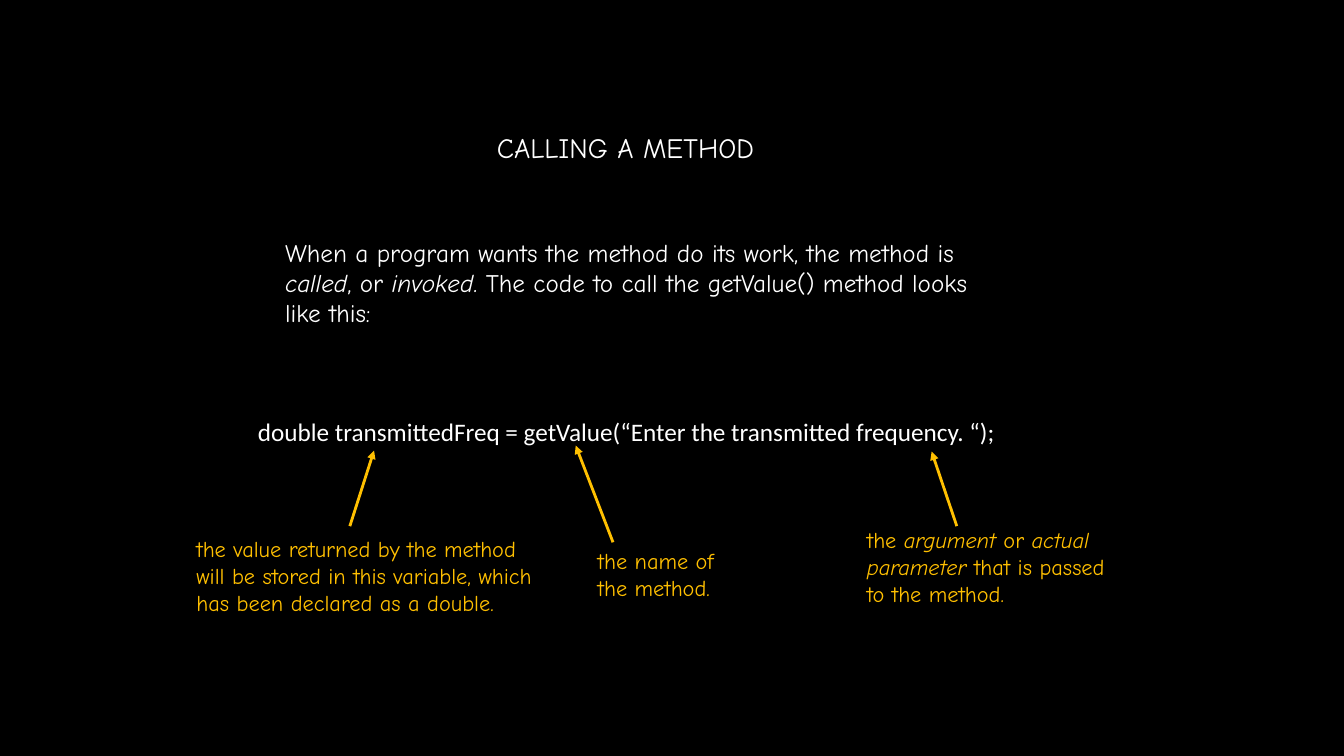
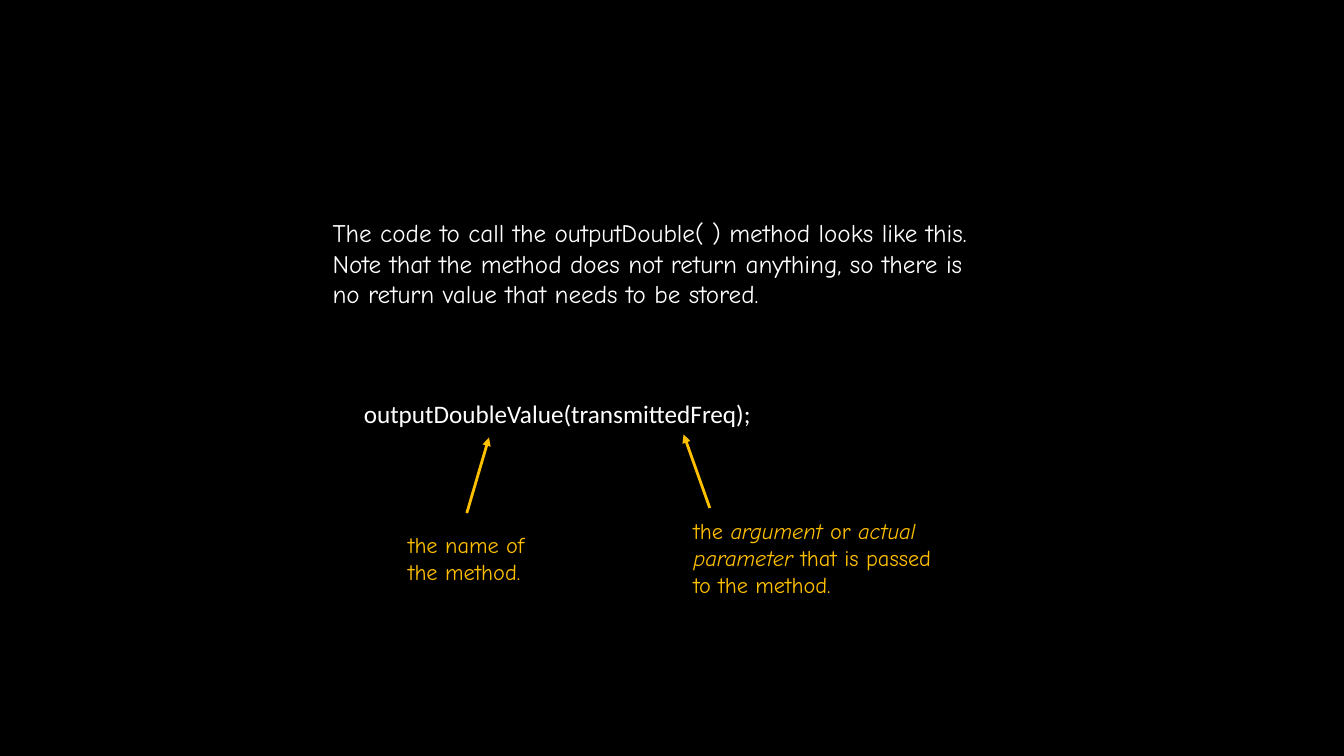
import pptx
import pptx.util
import pptx.dml.color
import pptx.enum.shapes
import pptx.oxml.ns
import lxml.etree

Inches = pptx.util.Inches

COLOURS = {"background": "000000", "text": "FFFFFF", "accent": "FFC000"}
BODY_FONT = "Comic Neue"
CODE_FONT = "Calibri"

METHOD_NAME = ["the name of", "the method."]
ARGUMENT = [
    "the *argument* or *actual*",
    "*parameter* that is passed",
    "to the method.",
]


def colour(name):
    return pptx.dml.color.RGBColor.from_string(COLOURS[name])


class Lesson:
    """Holds the deck, its style and the slide being filled."""

    def __init__(self):
        self.deck = pptx.Presentation()
        self.deck.slide_width = Inches(13.33)
        self.deck.slide_height = Inches(7.5)
        self.page = None

    def new_page(self):
        self.page = self.deck.slides.add_slide(self.deck.slide_layouts[6])
        fill = self.page.background.fill
        fill.solid()
        fill.fore_color.rgb = colour("background")

    def text(self, lines, left, top, width, height,
             size=18, font=BODY_FONT, shade="text"):
        """Write one paragraph per line; words between asterisks are italic."""
        box = self.page.shapes.add_textbox(
            Inches(left), Inches(top), Inches(width), Inches(height))
        frame = box.text_frame
        frame.word_wrap = True
        for index, line in enumerate(lines):
            para = frame.paragraphs[0] if index == 0 else frame.add_paragraph()
            para.font.size = pptx.util.Pt(size)
            para.font.name = font
            para.font.color.rgb = colour(shade)
            for position, part in enumerate(line.split("*")):
                if part:
                    span = para.add_run()
                    span.text = part
                    if position % 2:
                        span.font.italic = True

    def title(self, words, left, top, width):
        self.text([words], left, top, width, 0.44, size=20)

    def code(self, statement, left, top, width):
        self.text([statement], left, top, width, 0.4, font=CODE_FONT)

    def callout(self, lines, left, top, width, start, end):
        """Write an accent note with an arrow from start to end."""
        height = 0.1 + 0.27 * len(lines)
        self.text(lines, left, top, width, height, size=16, shade="accent")
        self.arrow(start, end)

    def arrow(self, start, end):
        connector = self.page.shapes.add_connector(
            pptx.enum.shapes.MSO_CONNECTOR.STRAIGHT,
            *(Inches(value) for value in (*start, *end)))
        connector.line.color.rgb = colour("accent")
        connector.line.width = pptx.util.Pt(2)
        qn = pptx.oxml.ns.qn
        properties = connector.element.spPr
        outline = properties.find(qn("a:ln"))
        lxml.etree.SubElement(outline, qn("a:tailEnd"), type="triangle")
        lxml.etree.SubElement(properties, qn("a:effectLst"))


def add_call_with_result(lesson):
    lesson.new_page()
    lesson.title("CALLING A METHOD", 4.83, 1.25, 3.08)
    lesson.text([
        "When a program wants the method do its work, the method is",
        "*called*, or *invoked*. The code to call the getValue() method looks",
        "like this:",
    ], 2.73, 2.3, 7.73, 1.01)
    lesson.code(
        "double transmittedFreq = getValue(“Enter the transmitted frequency. “);",
        2.46, 4.08, 7.61)
    lesson.callout([
        "the value returned by the method",
        "will be stored in this variable, which",
        "has been declared as a double.",
    ], 1.85, 5.26, 3.96, (3.47, 5.22), (3.71, 4.47))
    lesson.callout(METHOD_NAME, 5.83, 5.38, 1.52, (6.08, 5.38), (5.71, 4.42))
    lesson.callout(ARGUMENT, 8.5, 5.17, 2.83, (9.49, 5.22), (9.24, 4.48))


def add_call_without_result(lesson):
    lesson.new_page()
    lesson.text([
        "The code to call the outputDouble( ) method looks like this.",
        "Note that the method does not return anything, so there is",
        "no return value that needs to be stored.",
    ], 3.2, 2.11, 7.16, 1.01)
    lesson.code("outputDoubleValue(transmittedFreq);", 3.51, 3.9, 4.09)
    lesson.callout(METHOD_NAME, 3.95, 5.22, 1.52, (4.63, 5.09), (4.85, 4.34))
    lesson.callout(ARGUMENT, 6.78, 5.08, 2.83, (7.04, 5.04), (6.78, 4.31))


def main():
    lesson = Lesson()
    add_call_with_result(lesson)
    add_call_without_result(lesson)
    lesson.deck.save("out.pptx")


if __name__ == "__main__":
    main()
